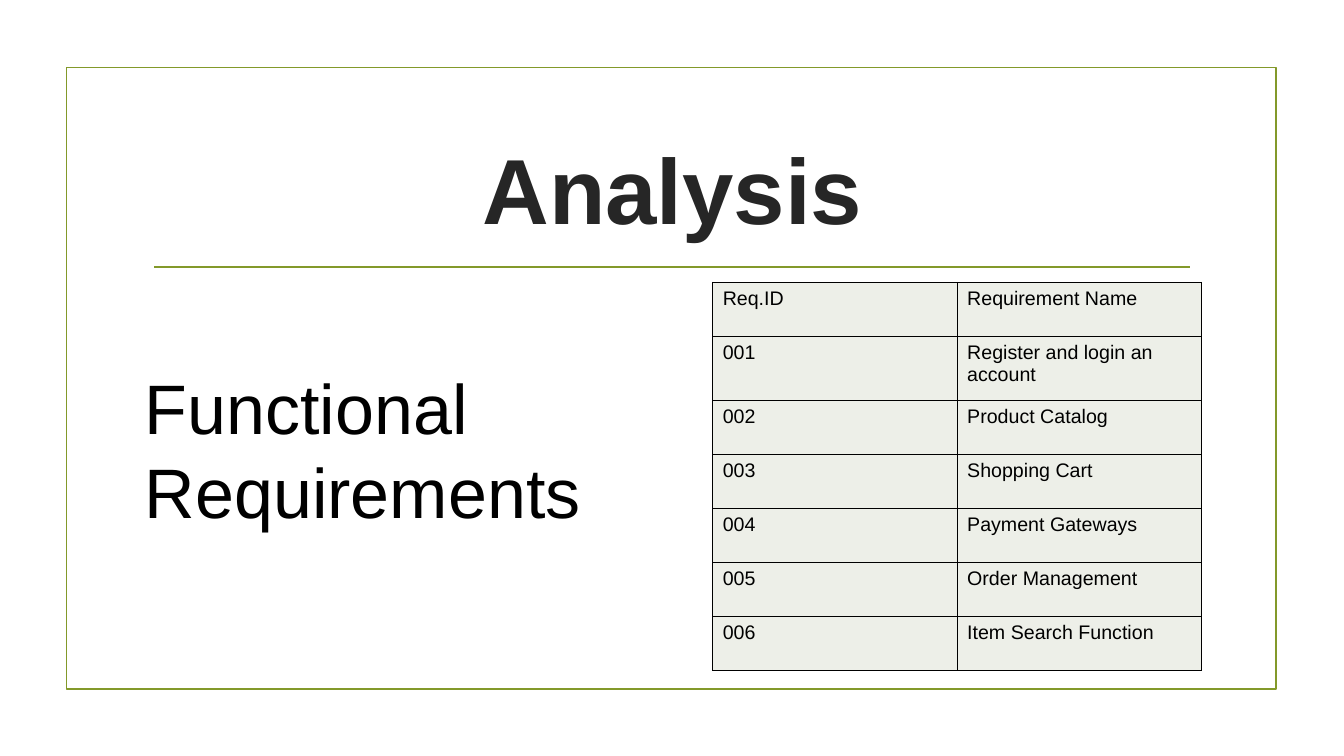
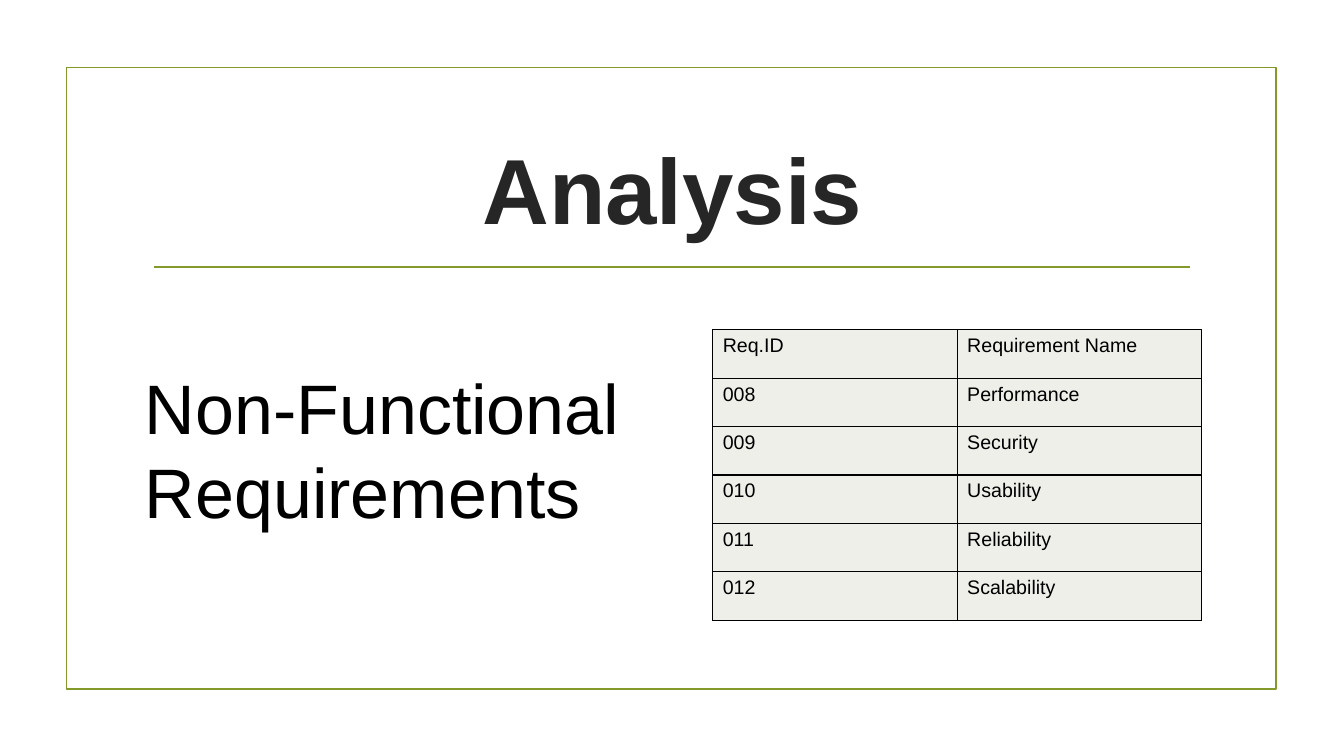
"""Builds the two requirement analysis slides."""
import dataclasses

import pptx
import pptx.dml.color
import pptx.enum.shapes
import pptx.enum.text
import pptx.oxml.ns
import pptx.util
from lxml import etree

Cm = pptx.util.Cm
Pt = pptx.util.Pt
Color = pptx.dml.color.RGBColor


@dataclasses.dataclass(frozen=True)
class Theme:
    font: str = "Arial"
    accent: Color = Color(0x83, 0x99, 0x2A)
    title: Color = Color(0x26, 0x26, 0x26)
    text: Color = Color(0, 0, 0)
    cell: Color = Color(0xED, 0xEF, 0xE8)
    title_size: int = 66
    heading_size: int = 50
    heading_pitch: int = 60
    table_size: int = 14
    line_width: float = 1.25
    border_width: int = 1


THEME = Theme()
HEADER = ("Req.ID", "Requirement Name")
FUNCTIONAL = (
    "Register and login an account",
    "Product Catalog",
    "Shopping Cart",
    "Payment Gateways",
    "Order Management",
    "Item Search Function",
)
NON_FUNCTIONAL = (
    "Performance", "Security", "Usability", "Reliability", "Scalability",
)


def style_font(paragraph, size, color, bold=False):
    font = paragraph.font
    font.name = THEME.font
    font.size = Pt(size)
    font.color.rgb = color
    font.bold = bold


def style_line(line):
    line.color.rgb = THEME.accent
    line.width = Pt(THEME.line_width)


def add_frame(slide):
    frame = slide.shapes.add_shape(
        pptx.enum.shapes.MSO_SHAPE.RECTANGLE,
        Cm(1.68), Cm(1.7), Cm(30.48), Cm(15.67))
    frame.shadow.inherit = False
    frame.fill.background()
    style_line(frame.line)


def add_rule(slide):
    rule = slide.shapes.add_connector(
        pptx.enum.shapes.MSO_CONNECTOR.STRAIGHT,
        Cm(3.89), Cm(6.73), Cm(30), Cm(6.73))
    style_line(rule.line)
    properties = rule._element.spPr
    etree.SubElement(properties, pptx.oxml.ns.qn("a:effectLst"))


def add_text(slide, text, left, top, width, height, margin_top):
    box = slide.shapes.add_textbox(Cm(left), Cm(top), Cm(width), Cm(height))
    frame = box.text_frame
    frame.word_wrap = True
    frame.margin_top = Cm(margin_top)
    frame.text = text
    return frame


def add_title(slide, text):
    frame = add_text(slide, text, 3.61, 2.72, 26.67, 3.63, 0.5)
    frame.vertical_anchor = pptx.enum.text.MSO_ANCHOR.MIDDLE
    paragraph = frame.paragraphs[0]
    paragraph.alignment = pptx.enum.text.PP_ALIGN.CENTER
    style_font(paragraph, THEME.title_size, THEME.title, bold=True)


def add_heading(slide, text):
    frame = add_text(slide, text, 3.4, 8.98, 12.52, 4.52, 0.21)
    paragraph = frame.paragraphs[0]
    paragraph.line_spacing = Pt(THEME.heading_pitch)
    style_font(paragraph, THEME.heading_size, THEME.text)


def add_borders(cell):
    properties = cell._tc.get_or_add_tcPr()
    for side in ("lnL", "lnR", "lnT", "lnB"):
        line = etree.SubElement(
            properties, pptx.oxml.ns.qn(f"a:{side}"),
            w=str(Pt(THEME.border_width)))
        fill = etree.SubElement(line, pptx.oxml.ns.qn("a:solidFill"))
        etree.SubElement(
            fill, pptx.oxml.ns.qn("a:srgbClr"), val=str(THEME.text))


def fill_cell(cell, text):
    add_borders(cell)
    cell.fill.solid()
    cell.fill.fore_color.rgb = THEME.cell
    cell.text = text
    style_font(cell.text_frame.paragraphs[0], THEME.table_size, THEME.text)


def add_requirements(slide, first_id, names, top, row_heights):
    rows = [HEADER]
    rows += [(f"{number:03}", name)
             for number, name in enumerate(names, first_id)]
    table = slide.shapes.add_table(
        len(rows), len(HEADER), Cm(17.96), Cm(top),
        Cm(12.32), Cm(sum(row_heights))).table
    table.first_row = False
    table.horz_banding = False
    for row, height, texts in zip(table.rows, row_heights, rows):
        row.height = Cm(height)
        for cell, text in zip(row.cells, texts):
            fill_cell(cell, text)


def add_analysis_slide(presentation, heading, first_id, names, top, row_heights):
    slide = presentation.slides.add_slide(presentation.slide_layouts[6])
    add_frame(slide)
    add_rule(slide)
    add_title(slide, "Analysis")
    add_requirements(slide, first_id, names, top, row_heights)
    add_heading(slide, heading)


def main():
    presentation = pptx.Presentation()
    presentation.slide_width = Cm(33.87)
    presentation.slide_height = Cm(19.05)
    add_analysis_slide(
        presentation, "Functional Requirements", 1, FUNCTIONAL,
        7.12, [1.36, 1.61] + [1.36] * 5)
    add_analysis_slide(
        presentation, "Non-Functional Requirements", 8, NON_FUNCTIONAL,
        8.31, [1.22] * 6)
    presentation.save("out.pptx")


if __name__ == "__main__":
    main()
